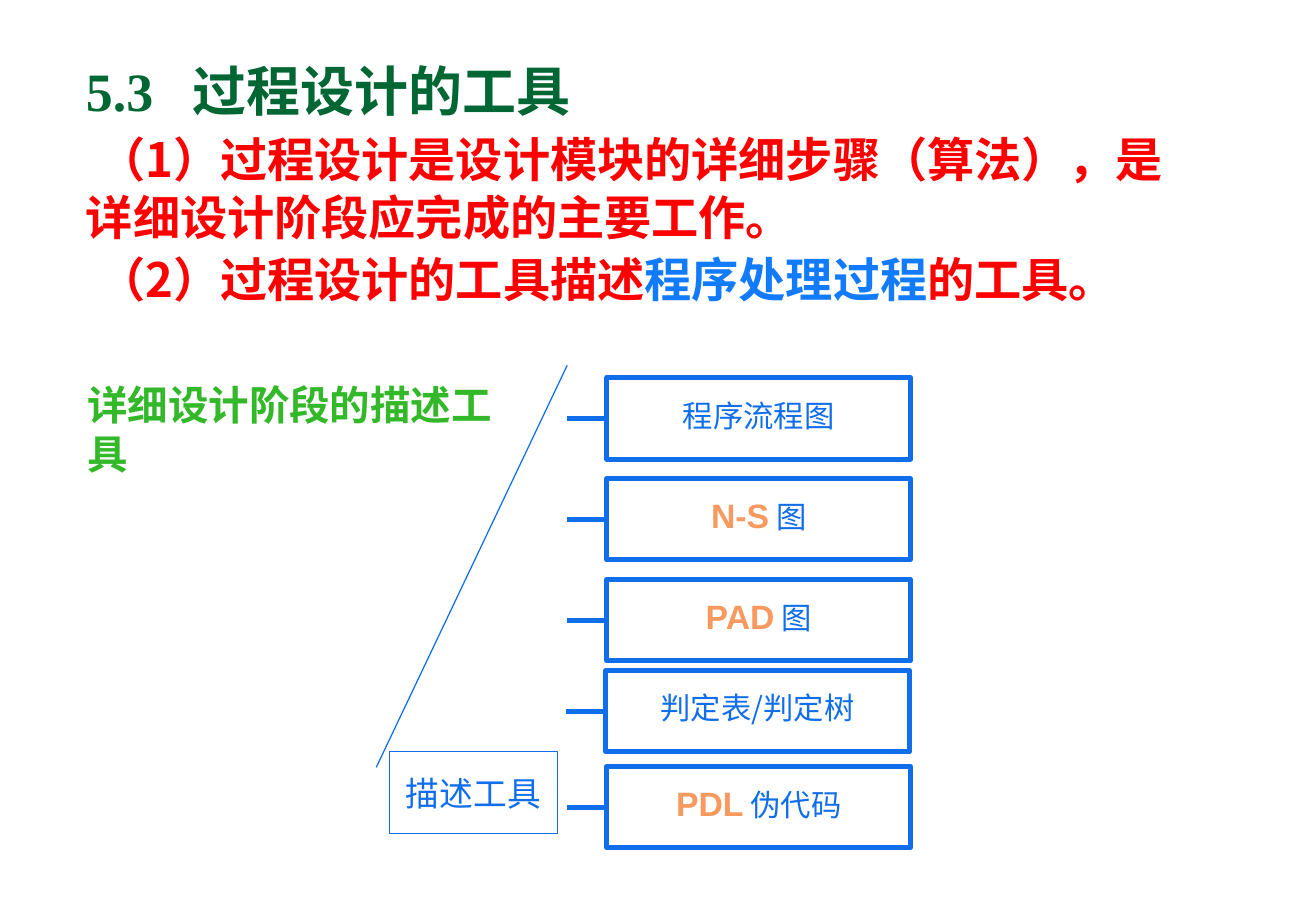
from lxml import etree
from pptx import Presentation
from pptx.dml.color import RGBColor
from pptx.enum.shapes import MSO_CONNECTOR, MSO_SHAPE
from pptx.enum.text import MSO_ANCHOR, PP_ALIGN
from pptx.oxml.ns import qn
from pptx.util import Inches, Pt

RECT, CALLOUT = MSO_SHAPE.RECTANGLE, MSO_SHAPE.LINE_CALLOUT_1
STRAIGHT = MSO_CONNECTOR.STRAIGHT
TOP, MIDDLE = MSO_ANCHOR.TOP, MSO_ANCHOR.MIDDLE
LEFT, CENTER = PP_ALIGN.LEFT, PP_ALIGN.CENTER
DARK_GREEN = RGBColor(0x00, 0x66, 0x33)
GREEN = RGBColor(0x32, 0xB8, 0x28)
RED = RGBColor(0xFF, 0x00, 0x00)
SKY = RGBColor(0x11, 0x7B, 0xFB)
BLUE = RGBColor(0x11, 0x6E, 0xEB)
ORANGE = RGBColor(0xF8, 0x9A, 0x60)
CJK, SERIF, SANS = "Noto Sans CJK SC", "Times New Roman", "Arial"

# Run styles
STYLES = {
    "title": dict(size=Pt(32), name=SERIF, bold=True, color=DARK_GREEN),
    "body": dict(size=Pt(28), name=CJK, bold=True, color=RED),
    "key": dict(size=Pt(28), name=CJK, bold=True, color=SKY),
    "label": dict(size=Pt(24), name=SERIF, bold=True, color=GREEN),
    "callout": dict(size=Pt(20), name=CJK, bold=False, color=BLUE),
    "tool": dict(size=Pt(18), name=CJK, bold=False, color=BLUE),
    "code": dict(size=Pt(20), name=SANS, bold=True, color=ORANGE),
}

# Content: runs are (text, style)
HEADING = [("5.3\t过程设计的工具", "title")]
POINTS = [
    [("（1）过程设计是设计模块的详细步骤（算法），是详细设计阶段应完成的主要工作。", "body")],
    [("（2）过程设计的工具描述", "body"), ("程序处理过程", "key"), ("的工具。", "body")],
]
POINT_GAPS = [3.6, 2.4]
LABEL = [("详细设计阶段的描述工具", "label")]
CALLOUT_TEXT = [("描述工具", "callout")]
TOOLS = [  # left, top, runs
    (5, 3.11, [("程序流程图", "tool")]),
    (5, 3.94, [("N-S", "code"), (" 图", "tool")]),
    (5, 4.77, [("PAD", "code"), (" 图", "tool")]),
    (4.99, 5.52, [("判定表/判定树", "tool")]),
    (5, 6.31, [("PDL", "code"), (" 伪代码", "tool")]),
]
TOOL_W, TOOL_H, STUB = 2.5, 0.67, 0.33

prs = Presentation()
prs.slide_width, prs.slide_height = Inches(10.84), Inches(7.5)
slide = prs.slides.add_slide(prs.slide_layouts[6])
shapes = slide.shapes


def add_runs(p, runs, **fmt):
    for key, value in fmt.items():
        setattr(p, key, value)
    for text, style in runs:
        r = p.add_run()
        r.text = text
        for key, value in STYLES[style].items():
            if key == "color":
                r.font.color.rgb = value
            else:
                setattr(r.font, key, value)
        etree.SubElement(r.font._element, qn("a:ea"), typeface=CJK)


def text_box(x, y, w, h, wrap):
    tf = shapes.add_textbox(Inches(x), Inches(y), Inches(w), Inches(h)).text_frame
    tf.word_wrap, tf.vertical_anchor = wrap, TOP
    return tf


def outlined(kind, x, y, w, h, weight, runs, wrap, **fmt):
    s = shapes.add_shape(kind, Inches(x), Inches(y), Inches(w), Inches(h))
    s.shadow.inherit = False
    s.fill.background()
    s.line.color.rgb, s.line.width = BLUE, Pt(weight)
    tf = s.text_frame
    tf.word_wrap, tf.vertical_anchor = wrap, MIDDLE
    add_runs(tf.paragraphs[0], runs, alignment=CENTER, **fmt)
    return s


# Heading and the two points
tf = text_box(0.61, 0.42, 9.45, 2.2, True)
p = tf.paragraphs[0]
tabs = etree.SubElement(p._p.get_or_add_pPr(), qn("a:tabLst"))
etree.SubElement(tabs, qn("a:tab"), pos=str(Inches(0.88)), algn="l")
add_runs(p, HEADING, alignment=LEFT, line_spacing=Pt(39))
for runs, gap in zip(POINTS, POINT_GAPS):
    p = tf.add_paragraph()
    p._p.get_or_add_pPr().set("indent", str(Inches(0.1)))
    add_runs(p, runs, alignment=LEFT, line_spacing=Pt(34.4), space_before=Pt(gap))

# Callout with its long leader
callout = outlined(CALLOUT, 3.21, 6.19, 1.38, 0.67, 0.75, CALLOUT_TEXT, True)
for i, value in enumerate([0.19, -0.08, -4.75, 1.06]):
    callout.adjustments[i] = value

# Tool boxes, each with a stub on its left side
for x, y, runs in TOOLS:
    box = outlined(RECT, x, y, TOOL_W, TOOL_H, 3, runs, False, line_spacing=0.8)
    mid = Inches(y + TOOL_H / 2)
    stub = shapes.add_connector(STRAIGHT, Inches(x - STUB), mid, Inches(x), mid)
    stub.end_connect(box, 1)
    stub.line.color.rgb, stub.line.width = BLUE, Pt(3)
    etree.SubElement(stub._element.spPr, qn("a:effectLst"))

# Label beside the tools
tf = text_box(0.62, 3.08, 3.86, 0.5, False)
add_runs(tf.paragraphs[0], LABEL, alignment=LEFT)

prs.save("out.pptx")
